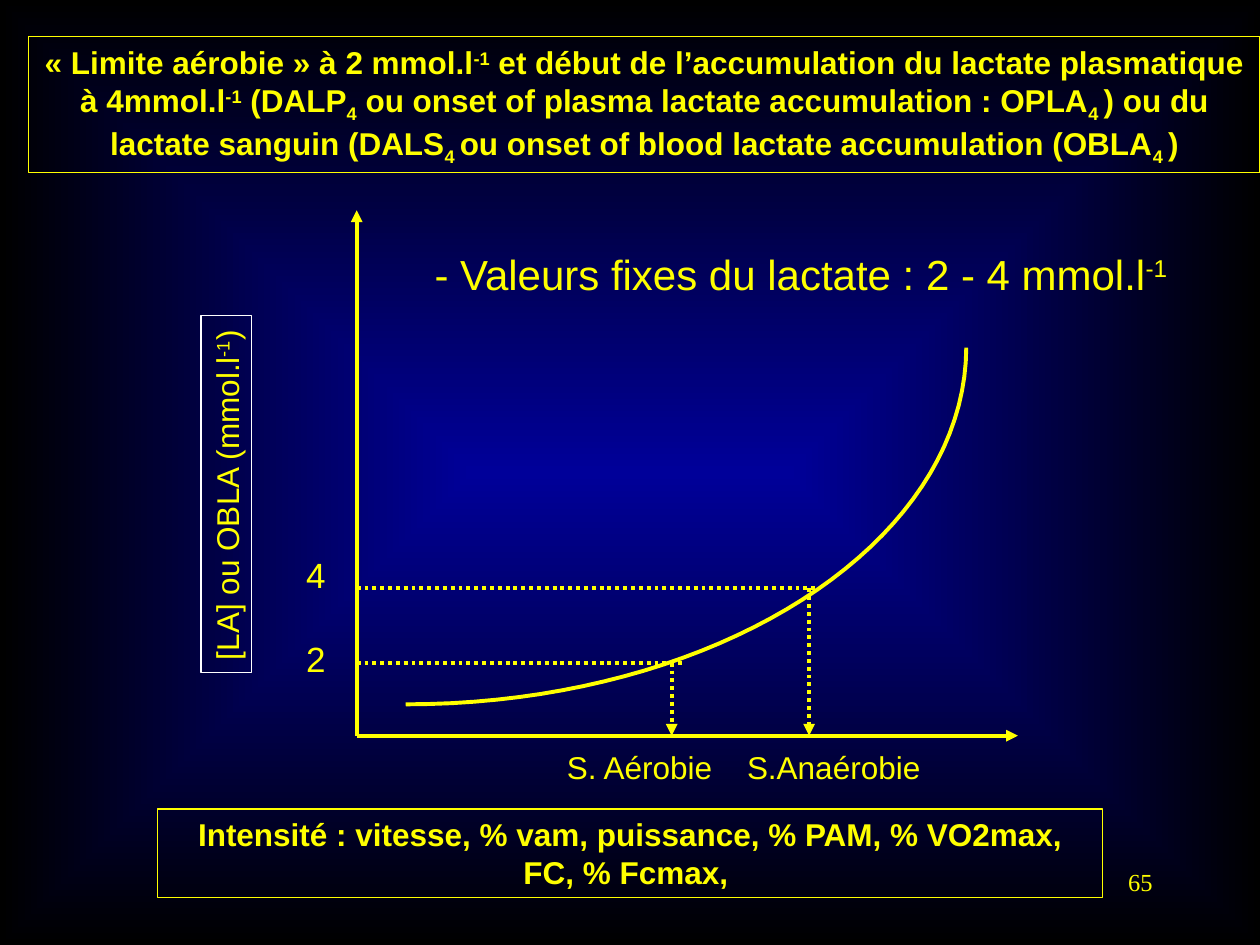
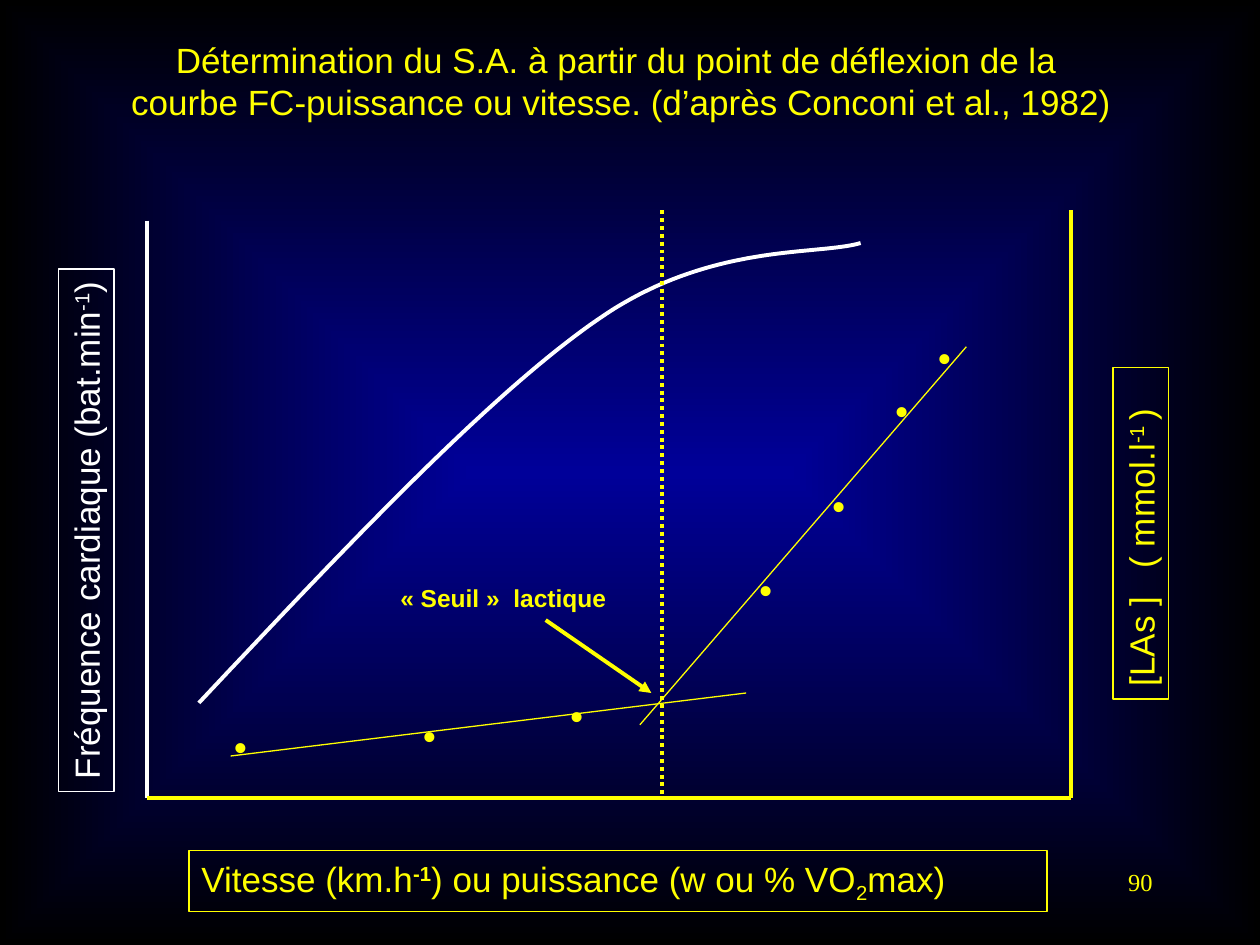
from pptx import Presentation, util as u
from pptx.dml.color import RGBColor
from pptx.enum import dml, shapes, text
from pptx.oxml import parse_xml
from pptx.oxml.ns import nsdecls, qn
from pptx.oxml.xmlchemy import OxmlElement

Cm, Pt = u.Cm, u.Pt
HUES = {"blue": "000099", "black": "000000", "sun": "FFFF00", "white": "FFFFFF"}
SUP, SUB = 30, -25
THICK, THIN = 2.25, 0.75
PAD = {"margin_left": Cm(0.25), "margin_right": Cm(0.25),
       "margin_top": Cm(0.13), "margin_bottom": Cm(0.13),
       "auto_size": text.MSO_AUTO_SIZE.NONE,
       "vertical_anchor": text.MSO_ANCHOR.TOP}
MID, END = text.PP_ALIGN.CENTER, text.PP_ALIGN.RIGHT

# Text: a list of paragraphs, each a list of runs; a run is a string
# or (string, baseline shift, bold). Places are left, top, width, height in cm.
LIMIT = {
    "page": "65",
    "title": dict(
        at=(0.58, 0.74, 24.82, 2.74), size=18, bold=True, frame="sun", align=MID,
        paras=[["« Limite aérobie » à 2 mmol.l", ("-1", SUP),
                " et début de l’accumulation du lactate plasmatique à 4mmol.l",
                ("-1", SUP), " (DALP", ("4", SUB),
                " ou onset of plasma lactate accumulation : OPLA", ("4 ", SUB),
                ") ou du lactate sanguin (DALS", ("4 ", SUB),
                "ou onset of blood lactate accumulation (OBLA", ("4 ", SUB), ")"]]),
    "boxes": [
        dict(at=(0.97, 9.45, 7.19, 1.02), size=18, frame="white", turn=270, wrap=False,
             paras=[["[LA] ou OBLA (mmol.l", ("-1", SUP), ")"]]),
        dict(at=(3.18, 16.31, 19.05, 1.78), size=18, bold=True, frame="sun", align=MID,
             paras=[["Intensité : vitesse, % vam, puissance, % PAM, "
                     "% VO2max, FC, % Fcmax, "]]),
        dict(at=(8.51, 4.88, 15.6, 1.27), size=24,
             paras=[["- Valeurs fixes du lactate : 2 - 4 mmol.l", ("-1", SUP)]]),
    ],
    "curve": [(19.48, 7.01), (19.46, 10.97), (14.45, 14.2), (8.18, 14.2)],
}
ROOT, RIGHT, TOP = (7.19, 14.83), 20.52, 4.24
# value, line height, line end, drop position, label top, threshold, its left
LEVELS = [("4", 11.86, 16.51, 16.31, 11.02, "S.Anaérobie", 14.81),
          ("2", 13.36, 13.77, 13.54, 12.72, "S. Aérobie", 11.18)]

BEND = {
    "page": "90",
    "title": dict(
        at=(2.39, 0.64, 20.27, 1.96), size=20, align=MID, wrap=False,
        paras=[["Détermination du S.A. à partir du point de déflexion de la "],
               ["courbe FC-puissance ou vitesse. (d’après Conconi et al., 1982)"]]),
    "boxes": [
        dict(at=(-3.53, 10.13, 10.54, 1.12), size=20, hue="white", frame="white",
             turn=270, wrap=False,
             paras=[["Fréquence cardiaque (bat.min", ("-1", SUP), ")"]]),
        dict(at=(19.66, 10.19, 6.68, 1.12), size=20, frame="sun", turn=270, tab=2.38,
             paras=[["[LAs ]\t( mmol.l", ("-1 ", SUP), ")"]]),
        dict(at=(3.81, 17.15, 17.3, 1.22), size=20, frame="sun",
             paras=[["Vitesse (km.h", ("-1", SUP, True), ") ou puissance (w ou % VO",
                     ("2", SUB), "max)"]]),
        dict(at=(7.82, 11.63, 5, 0.86), size=14, bold=True, tab=2.28,
             paras=[["« Seuil »\tlactique"]]),
    ],
    "curve": [(4.01, 14.17), (6.93, 11.07), (9.86, 7.95), (12.07, 6.43),
              (14.3, 4.88), (16.48, 5.16), (17.35, 4.9)],
}
DOTS = [(18.64, 6.55), (17.78, 7.62), (16.51, 9.53), (15.04, 11.23),
        (11.23, 13.77), (8.26, 14.17), (4.45, 14.4)]
WEST, EAST, BASE = 2.97, 21.59, 16.08
LINES = [
    dict(a=(WEST, 4.45), b=(WEST, BASE), hue="white"),
    dict(a=(WEST, BASE), b=(EAST, BASE)),
    dict(a=(EAST, BASE), b=(EAST, 4.24)),
    dict(a=(13.34, 4.24), b=(13.34, BASE), dots=True),
    dict(a=(4.65, 15.24), b=(15.04, 13.97), width=THIN),
    dict(a=(19.48, 6.99), b=(12.9, 14.61), width=THIN),
    dict(a=(11, 12.5), b=(13.13, 13.97), tip=True),
]


def tint(name):
    return RGBColor.from_string(HUES[name])


def apply(obj, values):
    for key, val in values.items():
        setattr(obj, key, val)


def stroke(line, hue, width):
    line.color.rgb = tint(hue)
    line.width = Pt(width)


def write(box, at, paras, size, hue="sun", bold=False, font="Arial", align=None,
          frame=None, turn=0, wrap=True, tab=None):
    left, top, width, height = map(Cm, at)
    apply(box, {"left": left, "top": top, "width": width, "height": height,
                "rotation": turn})
    if frame:
        stroke(box.line, frame, THIN)
    body = box.text_frame
    apply(body, {**PAD, "word_wrap": wrap})
    for i, runs in enumerate(paras):
        para = body.add_paragraph() if i else body.paragraphs[0]
        para.alignment = align
        if tab:
            stops = OxmlElement("a:tabLst")
            stop = OxmlElement("a:tab")
            stop.set("pos", str(Cm(tab)))
            stop.set("algn", "l")
            stops.append(stop)
            para._p.get_or_add_pPr().append(stops)
        for item in runs:
            words, shift, strong = (item, 0, bold) if isinstance(item, str) \
                else (*item, bold)[:3]
            run = para.add_run()
            run.text = words
            apply(run.font, {"name": font, "size": Pt(size), "bold": strong})
            run.font.color.rgb = tint(hue)
            if shift:
                run._r.get_or_add_rPr().set("baseline", str(shift * 1000))


def label(slide, **spec_):
    write(slide.shapes.add_textbox(0, 0, 0, 0), **spec_)


def draw(slide, a, b, hue="sun", width=THICK, dots=False, tip=False):
    link = slide.shapes.add_connector(shapes.MSO_CONNECTOR.STRAIGHT,
                                      *map(Cm, (*a, *b)))
    stroke(link.line, hue, width)
    if dots:
        link.line.dash_style = dml.MSO_LINE.ROUND_DOT
    if tip:
        head = OxmlElement("a:tailEnd")
        head.set("type", "triangle")
        link.line._get_or_add_ln().append(head)
    link._element.spPr.append(OxmlElement("a:effectLst"))


def bend(slide, knots, hue, steps=40):
    """Draw joined cubic curves; neighbours share an end point."""
    spots = [knots[0]]
    for k in range(0, len(knots) - 1, 3):
        for i in range(1, steps + 1):
            t = i / steps
            mix = ((1 - t) ** 3, 3 * t * (1 - t) ** 2, 3 * t * t * (1 - t), t ** 3)
            spots.append(tuple(sum(m * p[ax] for m, p in zip(mix, knots[k:k + 4]))
                               for ax in (0, 1)))
    spots = [(Cm(x), Cm(y)) for x, y in spots]
    pen = slide.shapes.build_freeform(*spots[0])
    pen.add_line_segments(spots[1:], close=False)
    curve = pen.convert_to_shape()
    curve.fill.background()
    curve.shadow.inherit = False
    stroke(curve.line, hue, THICK)


def start(deck, part, hue):
    """Add a slide with its title, page number, labels and curve."""
    slide = deck.slides.add_slide(deck.slide_layouts[5])
    write(slide.shapes.title, **part["title"])
    label(slide, at=(18.21, 17.35, 5.28, 1.27), paras=[[part["page"]]], size=14,
          font="Times New Roman", align=END)
    for box in part["boxes"]:
        label(slide, **box)
    bend(slide, part["curve"], hue)
    return slide


def glow(master):
    """Blue centre fading to black, shared by all slides."""
    fill = master.background.fill
    fill.gradient()
    for stop, name in zip(fill.gradient_stops, ("blue", "black")):
        stop.color.rgb = tint(name)
    grad = master.element.find(".//" + qn("p:bg")).find(".//" + qn("a:gradFill"))
    grad.replace(grad.find(qn("a:lin")), parse_xml(
        f'<a:path {nsdecls("a")} path="rect">'
        '<a:fillToRect l="50000" t="50000" r="50000" b="50000"/></a:path>'))


def main():
    deck = Presentation()
    deck.slide_width, deck.slide_height = Cm(25.4), Cm(19.05)
    glow(deck.slide_master)

    # Fixed lactate values
    slide = start(deck, LIMIT, "sun")
    left, base = ROOT
    draw(slide, ROOT, (RIGHT, base), tip=True)
    draw(slide, ROOT, (left, TOP), tip=True)
    for value, y, end, drop, top, name, x in LEVELS:
        draw(slide, (left, y), (end, y), dots=True)
        draw(slide, (drop, y), (drop, base), dots=True, tip=True)
        label(slide, at=(5.92, top, 0.95, 1.02), paras=[[value]], size=20)
        label(slide, at=(x, 14.94, 4.2, 1.02), paras=[[name]], size=18)

    # Heart rate deflection
    slide = start(deck, BEND, "white")
    for line in LINES:
        draw(slide, **line)
    for x, y in DOTS:
        label(slide, at=(x, y, 0.79, 1.27), paras=[["•"]], size=24,
              font="Times New Roman")

    deck.save("out.pptx")


if __name__ == "__main__":
    main()
